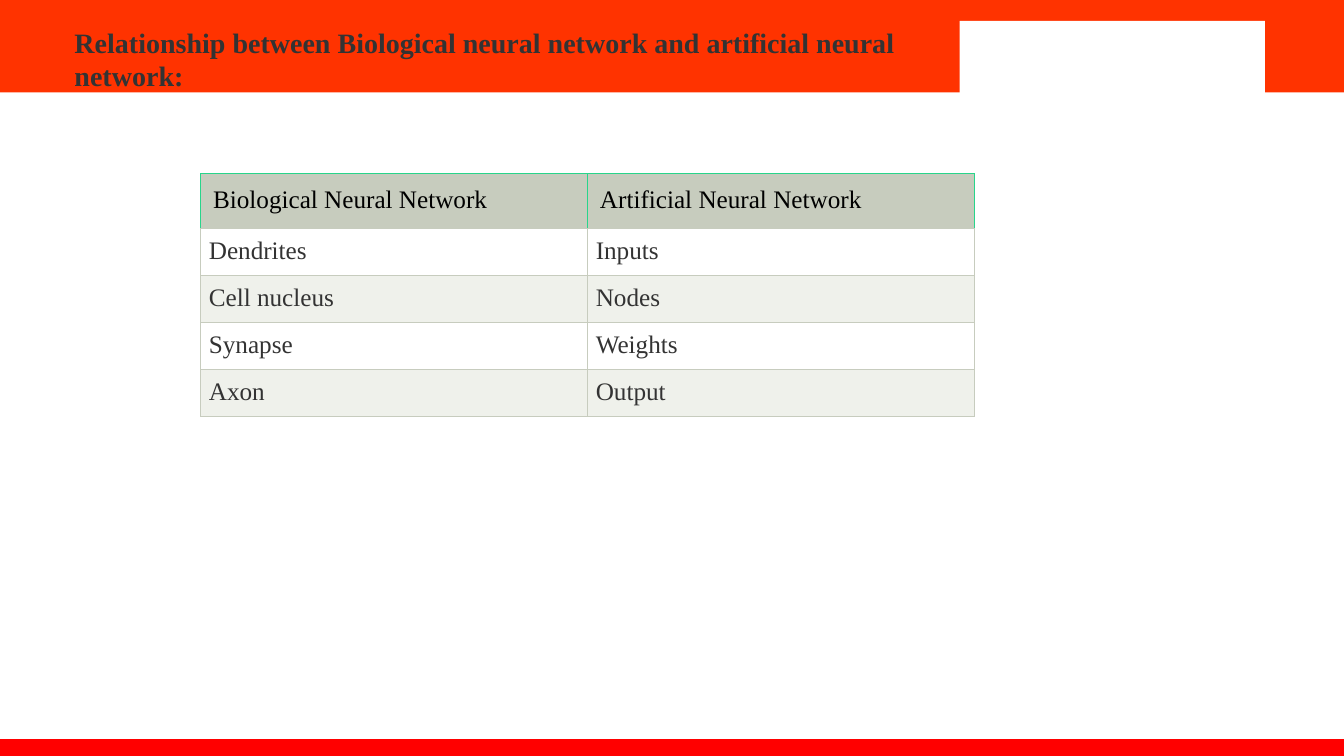
from pptx import Presentation
from pptx.dml.color import RGBColor
from pptx.enum import shapes, text
from pptx.oxml import parse_xml
from pptx.oxml.ns import nsdecls
from pptx.util import Pt

# Content
HEADING = "Relationship between Biological neural network and artificial neural network:"
PAIRS = [
    ("Biological Neural Network", "Artificial Neural Network"),
    ("Dendrites", "Inputs"),
    ("Cell nucleus", "Nodes"),
    ("Synapse", "Weights"),
    ("Axon", "Output"),
]
COLORS = {
    "banner": "FF3300", "footer": "FF0000", "white": "FFFFFF",
    "ink": "333333", "black": "000000",
    "sage": "C7CCBE", "pale": "EFF1EB", "green": "28D58B",
}
FONT = "Times New Roman"
SLIDE_W, SLIDE_H = 960, 540

# Bands: left, top, width, height, colour
BANDS = [
    (0, 0, SLIDE_W, 66, "banner"),
    (0, 528, SLIDE_W, 12, "footer"),
    (685.5, 15, 218, 54, "white"),
]
TABLE_LEFT, TABLE_TOP, COLUMN_W = 143.2, 123.9, 276.4
HEADER_H, ROW_H = 39.4, 33.6


def rgb(name):
    return RGBColor.from_string(COLORS[name])


def style(paragraph, size, color, bold=False):
    paragraph.font.name = FONT
    paragraph.font.size = Pt(size)
    paragraph.font.bold = bold
    paragraph.font.color.rgb = rgb(color)


def set_margins(cell, margin):
    cell.margin_left = cell.margin_right = Pt(margin)
    cell.margin_top = cell.margin_bottom = Pt(margin)


def add_borders(cell, edge_colors):
    properties = cell._tc.get_or_add_tcPr()
    for position, (edge, color) in enumerate(edge_colors.items()):
        properties.insert(position, parse_xml(
            f'<a:{edge} {nsdecls("a")} w="{Pt(0.75)}"><a:solidFill>'
            f'<a:srgbClr val="{COLORS[color]}"/></a:solidFill></a:{edge}>'))


prs = Presentation()
prs.slide_width, prs.slide_height = Pt(SLIDE_W), Pt(SLIDE_H)
slide = prs.slides.add_slide(prs.slide_layouts[5])

# Banner, footer and white panel
for left, top, width, height, color in BANDS:
    band = slide.shapes.add_shape(
        shapes.MSO_SHAPE.RECTANGLE, Pt(left), Pt(top), Pt(width), Pt(height))
    band.shadow.inherit = False
    band.fill.solid()
    band.fill.fore_color.rgb = rgb(color)
    band.line.fill.background()

# Heading, brought in front of the banner
heading = slide.shapes.title
slide.shapes.element.append(heading.element)
heading.left, heading.top = Pt(46), Pt(14.4)
heading.width, heading.height = Pt(605), Pt(55.4)
frame = heading.text_frame
frame.text = HEADING
frame.word_wrap = True
frame.auto_size = text.MSO_AUTO_SIZE.NONE
frame.vertical_anchor = text.MSO_ANCHOR.TOP
frame.paragraphs[0].alignment = text.PP_ALIGN.LEFT
style(frame.paragraphs[0], 20, "ink", bold=True)

# Comparison table
rows, columns = len(PAIRS), len(PAIRS[0])
table = slide.shapes.add_table(
    rows, columns, Pt(TABLE_LEFT), Pt(TABLE_TOP), Pt(COLUMN_W * columns),
    Pt(HEADER_H + ROW_H * (rows - 1))).table
for column in table.columns:
    column.width = Pt(COLUMN_W)

for r, pair in enumerate(PAIRS):
    is_header = r == 0
    table.rows[r].height = Pt(HEADER_H if is_header else ROW_H)
    fill = "sage" if is_header else ("white" if r % 2 else "pale")
    edge = "green" if is_header else "sage"
    for c, term in enumerate(pair):
        cell = table.cell(r, c)
        cell.text = term
        set_margins(cell, 9 if is_header else 6)
        cell.fill.solid()
        cell.fill.fore_color.rgb = rgb(fill)
        add_borders(cell, {"lnL": edge, "lnR": edge,
                           "lnT": edge, "lnB": "sage"})
        paragraph = cell.text_frame.paragraphs[0]
        paragraph.alignment = (
            text.PP_ALIGN.LEFT if is_header else text.PP_ALIGN.JUSTIFY)
        style(paragraph, 18, "black" if is_header else "ink")

prs.save("out.pptx")
